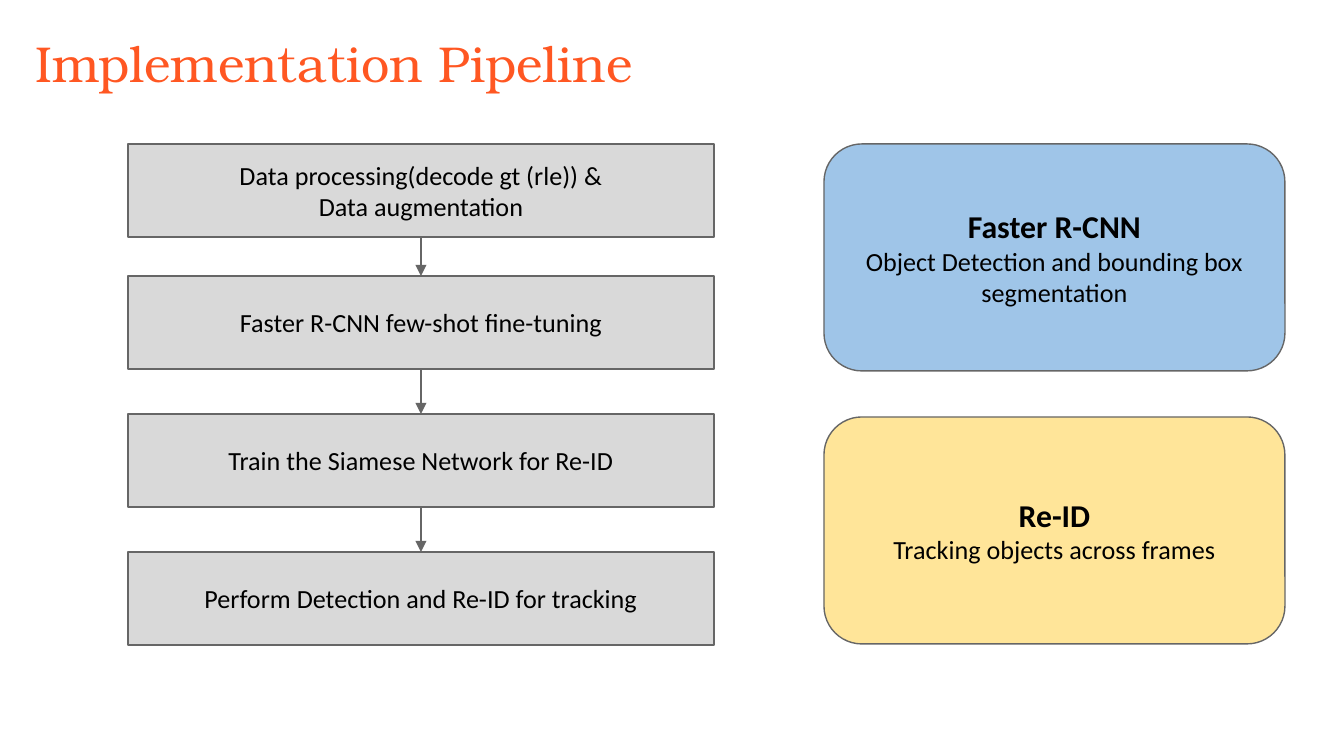
from pptx import Presentation
from pptx import util as u
from pptx.dml.color import RGBColor
from pptx.enum import shapes, text
from pptx.oxml.ns import qn
from lxml import etree

SCALE = 914400 / 134.4  # EMU in one px
ORANGE = RGBColor(0xFF, 0x57, 0x22)
BLACK = RGBColor(0, 0, 0)
GREY = RGBColor(0xD9, 0xD9, 0xD9)
EDGE = RGBColor(0x66, 0x66, 0x66)
BLUE = RGBColor(0x9F, 0xC5, 0xE8)
YELLOW = RGBColor(0xFF, 0xE5, 0x99)

STEPS = [
    (144, "Data processing(decode gt (rle)) &\nData augmentation"),
    (276, "Faster R-CNN few-shot fine-tuning"),
    (414, "Train the Siamese Network for Re-ID"),
    (552, "Perform Detection and Re-ID for tracking"),
]
CARDS = [
    (144, BLUE, "Faster R-CNN", "Object Detection and bounding box segmentation"),
    (417, YELLOW, "Re-ID", "Tracking objects across frames"),
]


def px(*nums):
    return [u.Emu(round(n * SCALE)) for n in nums]


def write(para, words, size=14, font="Calibri", color=BLACK, bold=False,
          align=text.PP_ALIGN.CENTER):
    para.alignment = align
    for i, line in enumerate(words.split("\n")):
        if i:
            para.add_line_break()
        run = para.add_run()
        run.text = line
        run.font.size = u.Pt(size)
        run.font.name = font
        run.font.color.rgb = color
        run.font.bold = bold


def frame(shape, anchor):
    body = shape.text_frame
    body.word_wrap = True
    body.vertical_anchor = anchor
    body.margin_left = body.margin_right = u.Inches(0.1)
    body.margin_top = body.margin_bottom = u.Inches(0.1)
    return body


def title(slide, words):
    box = slide.shapes.add_textbox(*px(22, 19, 1253, 85))
    body = frame(box, text.MSO_ANCHOR.TOP)
    write(body.paragraphs[0], words, size=27, font="TeX Gyre Bonum",
          color=ORANGE, align=text.PP_ALIGN.LEFT)


def block(slide, kind, spot, fill):
    shape = slide.shapes.add_shape(kind, *px(*spot))
    shape.shadow.inherit = False
    shape.fill.solid()
    shape.fill.fore_color.rgb = fill
    shape.line.color.rgb = EDGE
    shape.line.width = u.Pt(0.75)
    return shape, frame(shape, text.MSO_ANCHOR.MIDDLE)


def step(slide, top, words):
    shape, body = block(slide, shapes.MSO_SHAPE.RECTANGLE,
                        (128, top, 586, 93), GREY)
    write(body.paragraphs[0], words)
    return shape


def card(slide, top, fill, head, note):
    shape, body = block(slide, shapes.MSO_SHAPE.ROUNDED_RECTANGLE,
                        (824, top, 461, 227), fill)
    shape.adjustments[0] = 0.167
    write(body.paragraphs[0], head, size=17, bold=True)
    write(body.add_paragraph(), note)


def arrow(slide, above, below):
    line = slide.shapes.add_connector(shapes.MSO_CONNECTOR.STRAIGHT, 0, 0, 0, 0)
    line.begin_connect(above, 2)
    line.end_connect(below, 0)
    line.line.color.rgb = EDGE
    line.line.width = u.Pt(0.75)
    # Arrowhead, and no shadow
    etree.SubElement(line.line._get_or_add_ln(), qn("a:tailEnd"), type="triangle")
    etree.SubElement(line._element.spPr, qn("a:effectLst"))


def main():
    deck = Presentation()
    deck.slide_width, deck.slide_height = px(1344, 756)
    slide = deck.slides.add_slide(deck.slide_layouts[6])

    title(slide, "Implementation Pipeline")

    # Pipeline steps, joined from top to bottom
    boxes = [step(slide, *item) for item in STEPS]
    for above, below in zip(boxes, boxes[1:]):
        arrow(slide, above, below)

    # Model cards
    for item in CARDS:
        card(slide, *item)

    deck.save("out.pptx")


if __name__ == "__main__":
    main()
